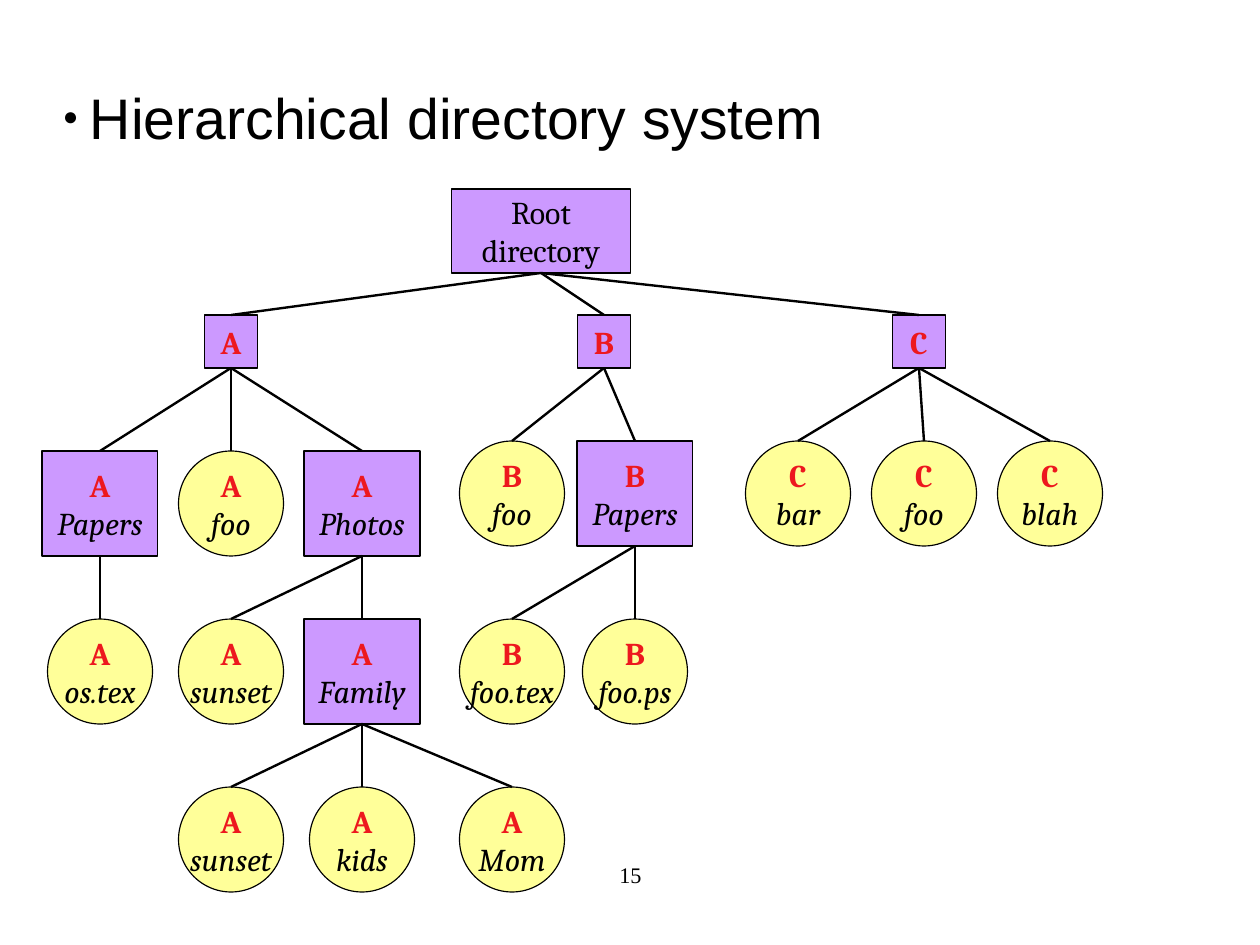
from pptx import Presentation
from pptx.dml.color import RGBColor
from pptx.enum.shapes import MSO_CONNECTOR, MSO_SHAPE
from pptx.enum.text import MSO_ANCHOR, PP_ALIGN
from pptx.oxml.ns import qn
from pptx.util import Pt
from lxml import etree

RECT, OVAL, LINE = MSO_SHAPE.RECTANGLE, MSO_SHAPE.OVAL, MSO_CONNECTOR.STRAIGHT
LEFT, CENTER = PP_ALIGN.LEFT, PP_ALIGN.CENTER
TOP, MIDDLE = MSO_ANCHOR.TOP, MSO_ANCHOR.MIDDLE
PX = 8000  # 45 px to the centimetre
SITE_TOP, SITE_BOTTOM = 0, 2

COLORS = {"ink": "000000", "owner": "ED181E", "dir": "CC99FF", "file": "FFFF99"}

# Kind of node: shape, width, height, fill
KINDS = {
    "root": (RECT, 179, 84, "dir"),
    "user": (RECT, 53, 53, "dir"),
    "dir": (RECT, 116, 105, "dir"),
    "file": (OVAL, 105, 105, "file"),
}

# Node: kind, owner, name, centre x, top, children
TREE = ("root", "", "Root\ndirectory", 541, 189, [
    ("user", "A", "", 231, 315, [
        ("dir", "A", "Papers", 100, 451, [
            ("file", "A", "os.tex", 100, 619, []),
        ]),
        ("file", "A", "foo", 231, 451, []),
        ("dir", "A", "Photos", 362, 451, [
            ("file", "A", "sunset", 231, 619, []),
            ("dir", "A", "Family", 362, 619, [
                ("file", "A", "sunset", 231, 787, []),
                ("file", "A", "kids", 362, 787, []),
                ("file", "A", "Mom", 512, 787, []),
            ]),
        ]),
    ]),
    ("user", "B", "", 604, 315, [
        ("file", "B", "foo", 512, 441, []),
        ("dir", "B", "Papers", 635, 441, [
            ("file", "B", "foo.tex", 512, 619, []),
            ("file", "B", "foo.ps", 635, 619, []),
        ]),
    ]),
    ("user", "C", "", 919, 315, [
        ("file", "C", "bar", 798, 441, []),
        ("file", "C", "foo", 924, 441, []),
        ("file", "C", "blah", 1050, 441, []),
    ]),
])


def rgb(name):
    return RGBColor.from_string(COLORS[name])


def write(p, text, font="Cambria", size=20, color="ink", bold=False, italic=False, align=CENTER):
    p.alignment = align
    r = p.add_run()
    r.text = text
    f = r.font
    f.name, f.size, f.bold, f.italic = font, Pt(size), bold, italic
    f.color.rgb = rgb(color)


class TreeSlide:
    def __init__(self, prs):
        self.s = prs.slides.add_slide(prs.slide_layouts[6])

    def frame(self, sp, anchor, wrap, mx=0, my=0):
        tf = sp.text_frame
        tf.word_wrap, tf.vertical_anchor = wrap, anchor
        tf.margin_left = tf.margin_right = mx * PX
        tf.margin_top = tf.margin_bottom = my * PX
        return tf

    def text(self, x, y, w, h, text, anchor=TOP, **fmt):
        sp = self.s.shapes.add_textbox(x * PX, y * PX, w * PX, h * PX)
        p = self.frame(sp, anchor, True).paragraphs[0]
        write(p, text, **fmt)
        return p

    def bullet(self, p, char, percent, indent):
        pPr = p._p.get_or_add_pPr()
        pPr.set("marL", str(indent * PX))
        pPr.set("indent", str(-indent * PX))
        etree.SubElement(pPr, qn("a:buSzPct")).set("val", str(percent * 1000))
        etree.SubElement(pPr, qn("a:buFont")).set("typeface", "Arial")
        etree.SubElement(pPr, qn("a:buChar")).set("char", char)

    def box(self, kind, owner, name, cx, y):
        shape, w, h, fill = KINDS[kind]
        sp = self.s.shapes.add_shape(shape, cx * PX - w * PX // 2, y * PX, w * PX, h * PX)
        sp.shadow.inherit = False
        sp.fill.solid()
        sp.fill.fore_color.rgb = rgb(fill)
        sp.line.color.rgb = rgb("ink")
        sp.line.width = Pt(0.75)
        tf = self.frame(sp, MIDDLE, False, 12, 7)
        lines = [(owner, {"color": "owner", "bold": True})] if owner else []
        lines += [(line, {"italic": bool(owner)}) for line in name.splitlines()]
        for i, (line, fmt) in enumerate(lines):
            p = tf.add_paragraph() if i else tf.paragraphs[0]
            write(p, line, **fmt)
        return sp

    def link(self, parent, child):
        c = self.s.shapes.add_connector(LINE, 0, 0, 0, 0)
        c.begin_connect(parent, SITE_BOTTOM)
        c.end_connect(child, SITE_TOP)
        c.line.color.rgb = rgb("ink")
        c.line.width = Pt(1.5)
        etree.SubElement(c._element.spPr, qn("a:effectLst"))

    def tree(self, node):
        *own, children = node
        sp = self.box(*own)
        for child in children:
            self.link(sp, self.tree(child))
        return sp


def main():
    prs = Presentation()
    prs.slide_width, prs.slide_height = 1260 * PX, 945 * PX
    slide = TreeSlide(prs)

    # Title
    p = slide.text(63, 72, 900, 90, "Hierarchical directory system",
                   anchor=MIDDLE, font="Arial", size=36, align=LEFT)
    slide.bullet(p, "●", 45, 27)

    # Directory tree
    slide.tree(TREE)

    # Page number
    slide.text(431, 861, 399, 65, "15", font="Times New Roman", size=14)

    prs.save("out.pptx")


if __name__ == "__main__":
    main()
